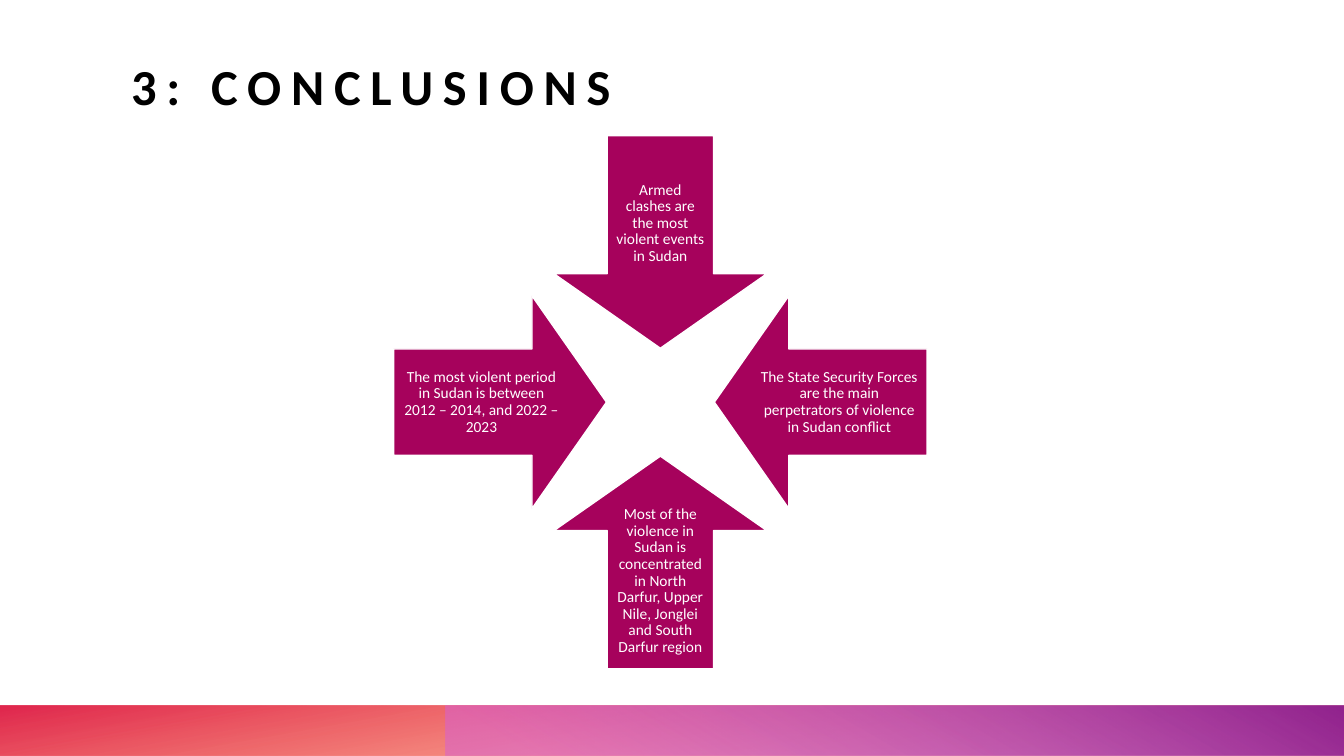
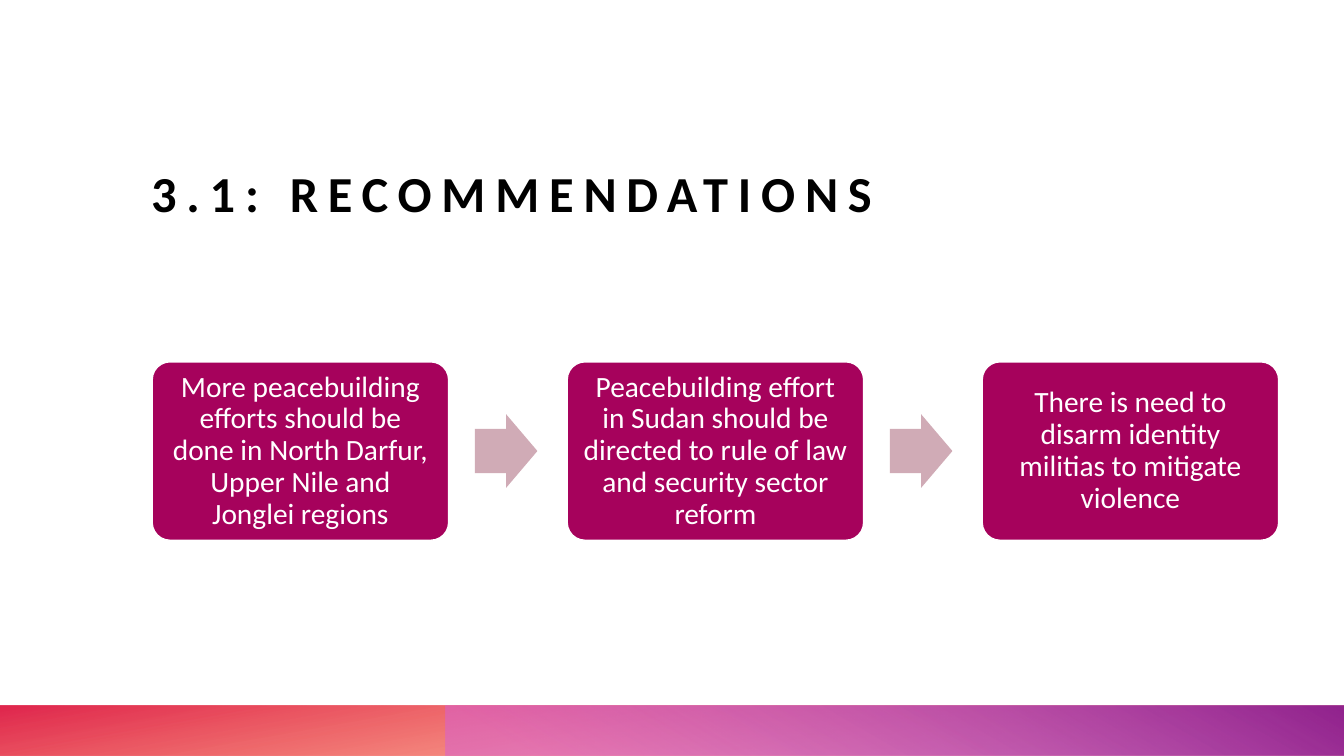
from dataclasses import dataclass
from typing import Any

import lxml.etree
import pptx
import pptx.dml.color
import pptx.enum.shapes
import pptx.enum.text
import pptx.oxml.ns
import pptx.util

SHAPES = pptx.enum.shapes.MSO_SHAPE
ALIGN = pptx.enum.text.PP_ALIGN
ANCHOR = pptx.enum.text.MSO_ANCHOR
qn = pptx.oxml.ns.qn

SLIDE_WIDTH, SLIDE_HEIGHT = 13.33, 7.5
BLANK_LAYOUT = 6
FONT = "Calibri"
BLACK, WHITE = "000000", "FFFFFF"
MAGENTA, ROSE = "A6025C", "D0ABB6"
INSET = 0.09

BAND_HEIGHT = SLIDE_HEIGHT / 15
ACCENT_LEFT = 4.42

ARROW_SIZE = 2.11
RING_CENTER = (6.55, 3.99)
RING_RADIUS = 1.59

STEP_LEFT, STEP_TOP = 1.51, 3.59
STEP_WIDTH, STEP_HEIGHT = 2.94, 1.77
STEP_PITCH = 1.4 * STEP_WIDTH
LINK_WIDTH, LINK_HEIGHT = 0.62, 0.73
LINK_GAP = 0.26


@dataclass(frozen=True)
class Box:
    left: float
    top: float
    width: float
    height: float

    def lengths(self) -> list[int]:
        return [pptx.util.Inches(value) for value in (self.left, self.top, self.width, self.height)]


@dataclass(frozen=True)
class Stop:
    position: int
    color: str
    opacity: int = 100


@dataclass(frozen=True)
class Band:
    box: Box
    angle: int
    stops: tuple[Stop, ...]
    rotation: int = 0


@dataclass(frozen=True)
class RingArrow:
    """An arrow placed by its column and row step away from the ring's centre."""

    kind: Any
    column: int
    row: int
    text: str


BAND_TOP = SLIDE_HEIGHT - BAND_HEIGHT
BANDS = (
    Band(Box(0, BAND_TOP, SLIDE_WIDTH, BAND_HEIGHT), 100,
         (Stop(14, "FE4A00", 28), Stop(100, "DA002F", 85)), 180),
    Band(Box(ACCENT_LEFT, BAND_TOP, SLIDE_WIDTH - ACCENT_LEFT, BAND_HEIGHT), 240,
         (Stop(9, "D861D4", 55), Stop(99, "92248E"))),
)

CONCLUSIONS = (
    RingArrow(SHAPES.DOWN_ARROW, 0, -1, "Armed clashes are the most violent events in Sudan"),
    RingArrow(SHAPES.LEFT_ARROW, 1, 0,
              "The State Security Forces are the main perpetrators of violence in Sudan conflict"),
    RingArrow(SHAPES.UP_ARROW, 0, 1,
              "Most of the violence in Sudan is concentrated in North Darfur, Upper Nile, "
              "Jonglei and South Darfur region"),
    RingArrow(SHAPES.RIGHT_ARROW, -1, 0,
              "The most violent period in Sudan is between 2012 – 2014, and 2022 – 2023"),
)

RECOMMENDATIONS = (
    "More peacebuilding efforts should be done in North Darfur, Upper Nile and Jonglei regions",
    "Peacebuilding effort in Sudan should be directed to rule of law and security sector reform",
    "There is need to disarm identity militias to mitigate violence",
)


def rgb(color: str) -> pptx.dml.color.RGBColor:
    return pptx.dml.color.RGBColor.from_string(color)


def apply(target: Any, values: dict[str, Any]) -> None:
    for name, value in values.items():
        setattr(target, name, value)


def write_text(shape: Any, text: str, size: float, color: str, inset: float,
               anchor: Any, alignment: Any, line_spacing: float, bold: bool = False) -> Any:
    """Fill the shape with one paragraph and return its run."""
    margin = pptx.util.Inches(inset)
    frame = shape.text_frame
    apply(frame, {"word_wrap": True, "vertical_anchor": anchor, "margin_left": margin,
                  "margin_right": margin, "margin_top": margin, "margin_bottom": margin})
    paragraph = frame.paragraphs[0]
    apply(paragraph, {"alignment": alignment, "line_spacing": line_spacing})
    run = paragraph.add_run()
    run.text = text
    apply(run.font, {"name": FONT, "size": pptx.util.Pt(size), "bold": bold})
    run.font.color.rgb = rgb(color)
    return run


def add_figure(slide: Any, kind: Any, box: Box, color: str, adjustments: tuple[float, ...]) -> Any:
    shape = slide.shapes.add_shape(kind, *box.lengths())
    shape.shadow.inherit = False
    shape.fill.solid()
    shape.fill.fore_color.rgb = rgb(color)
    shape.line.fill.background()
    for index, value in enumerate(adjustments):
        shape.adjustments[index] = value
    return shape


def add_card(slide: Any, kind: Any, box: Box, adjustments: tuple[float, ...],
             text: str, size: float) -> None:
    """Add a magenta shape with a white outline and centred white text."""
    shape = add_figure(slide, kind, box, MAGENTA, adjustments)
    shape.line.color.rgb = rgb(WHITE)
    shape.line.width = pptx.util.Pt(1)
    write_text(shape, text, size, WHITE, INSET, ANCHOR.MIDDLE, ALIGN.CENTER, 0.9)


def add_band(slide: Any, band: Band) -> None:
    """Add a mirrored strip with a translucent linear gradient."""
    shape = add_figure(slide, SHAPES.RECTANGLE, band.box, WHITE, ())
    shape.rotation = band.rotation
    properties = shape._element.spPr
    properties.find(qn("a:xfrm")).set("flipH", "1")
    gradient = lxml.etree.Element(qn("a:gradFill"), rotWithShape="1")
    stop_list = lxml.etree.SubElement(gradient, qn("a:gsLst"))
    for stop in band.stops:
        entry = lxml.etree.SubElement(stop_list, qn("a:gs"), pos=str(stop.position * 1000))
        color = lxml.etree.SubElement(entry, qn("a:srgbClr"), val=stop.color)
        lxml.etree.SubElement(color, qn("a:alpha"), val=str(stop.opacity * 1000))
    lxml.etree.SubElement(gradient, qn("a:lin"), ang=str(band.angle * 60000), scaled="0")
    properties.replace(properties.find(qn("a:solidFill")), gradient)


def add_titled_slide(presentation: Any, title: str, title_box: Box) -> Any:
    slide = presentation.slides.add_slide(presentation.slide_layouts[BLANK_LAYOUT])
    for band in BANDS:
        add_band(slide, band)
    shape = slide.shapes.add_textbox(*title_box.lengths())
    run = write_text(shape, title, 36, BLACK, 0, ANCHOR.BOTTOM, ALIGN.LEFT, 0.9, bold=True)
    run.font._element.set("spc", "700")
    return slide


def add_conclusions(presentation: Any) -> None:
    slide = add_titled_slide(presentation, "3: CONCLUSIONS", Box(1.3, 0.22, 11.2, 0.94))
    center_x, center_y = RING_CENTER
    for arrow in CONCLUSIONS:
        box = Box(center_x + arrow.column * RING_RADIUS - ARROW_SIZE / 2,
                  center_y + arrow.row * RING_RADIUS - ARROW_SIZE / 2, ARROW_SIZE, ARROW_SIZE)
        add_card(slide, arrow.kind, box, (0.5, 0.35), arrow.text, 11)


def add_recommendations(presentation: Any) -> None:
    slide = add_titled_slide(presentation, "3.1: RECOMMENDATIONS", Box(1.5, 0.87, 11.2, 1.35))
    link_top = STEP_TOP + (STEP_HEIGHT - LINK_HEIGHT) / 2
    for index, text in enumerate(RECOMMENDATIONS):
        left = STEP_LEFT + index * STEP_PITCH
        if index:
            link_left = left - STEP_PITCH + STEP_WIDTH + LINK_GAP
            add_figure(slide, SHAPES.RIGHT_ARROW,
                       Box(link_left, link_top, LINK_WIDTH, LINK_HEIGHT), ROSE, (0.6, 0.5))
        add_card(slide, SHAPES.ROUNDED_RECTANGLE,
                 Box(left, STEP_TOP, STEP_WIDTH, STEP_HEIGHT), (0.1,), text, 21)


def main() -> None:
    presentation = pptx.Presentation()
    apply(presentation, {"slide_width": pptx.util.Inches(SLIDE_WIDTH),
                         "slide_height": pptx.util.Inches(SLIDE_HEIGHT)})
    add_conclusions(presentation)
    add_recommendations(presentation)
    presentation.save("out.pptx")


if __name__ == "__main__":
    main()
